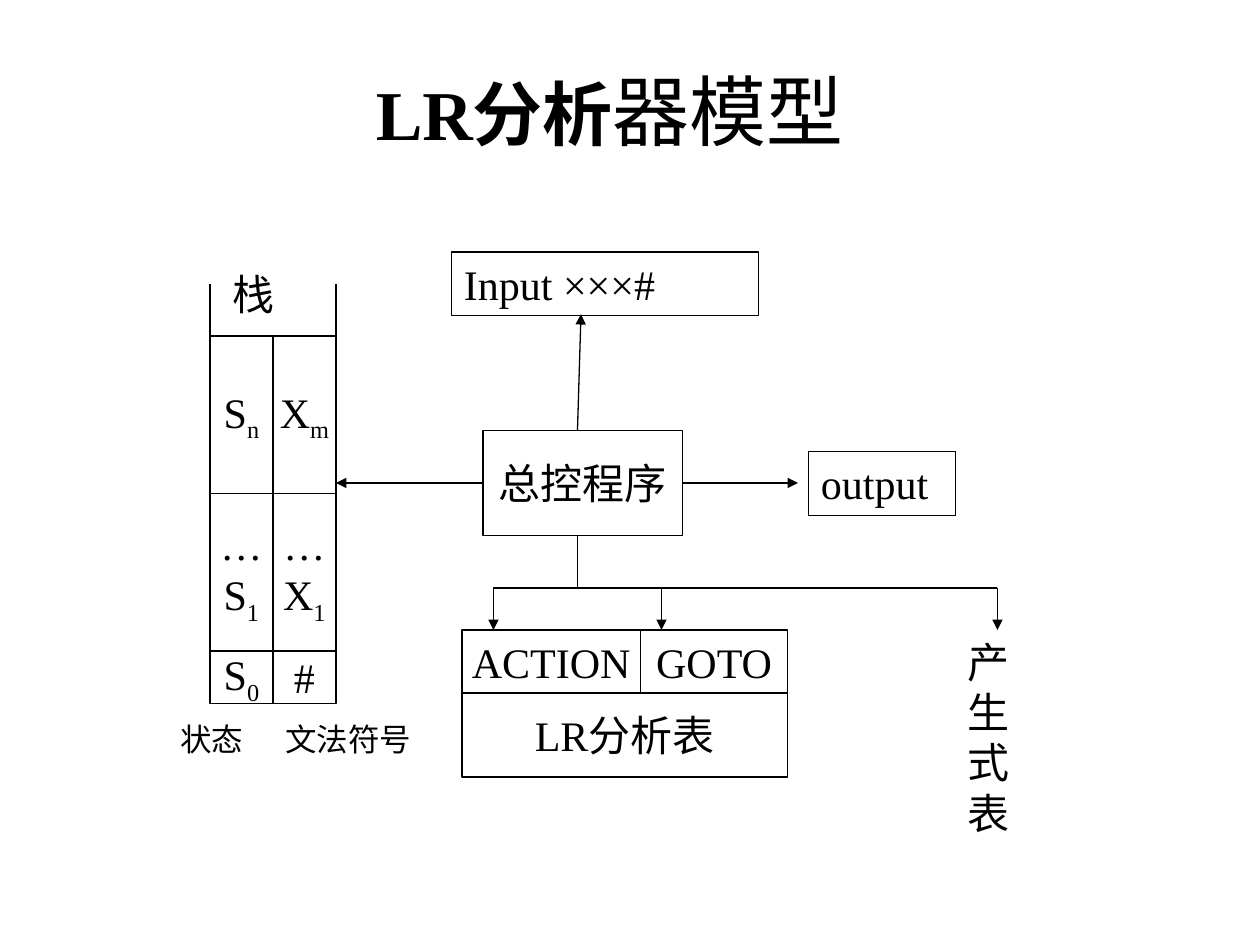
from lxml import etree
from pptx import Presentation
from pptx.dml.color import RGBColor
from pptx.enum import shapes, text
from pptx.oxml import ns
from pptx.util import Pt

COLORS = {"ink": "000000", "paper": "FFFFFF"}
FONT = "Times New Roman"


class Diagram:
    def __init__(self, slide):
        self.slide = slide
        self.ink = RGBColor.from_string(COLORS["ink"])
        self.paper = RGBColor.from_string(COLORS["paper"])
        self.line_width = Pt(0.75)

    def add_run(self, paragraph, words, size=24, bold=False, subscript=False):
        run = paragraph.add_run()
        run.text = words
        run.font.name = FONT
        run.font.size = Pt(size)
        run.font.bold = bold
        run.font.color.rgb = self.ink
        if subscript:
            run._r.get_or_add_rPr().set("baseline", "-25000")

    def title(self, left, top, width, height, runs):
        """Fill the title with (words, size, bold) runs."""
        title = self.slide.shapes.title
        title.left, title.top = Pt(left), Pt(top)
        title.width, title.height = Pt(width), Pt(height)
        frame = title.text_frame
        frame.auto_size = text.MSO_AUTO_SIZE.NONE
        frame.vertical_anchor = text.MSO_ANCHOR.MIDDLE
        paragraph = frame.paragraphs[0]
        paragraph.alignment = text.PP_ALIGN.CENTER
        for words, size, bold in runs:
            self.add_run(paragraph, words, size, bold)

    def box(self, left, top, width, height, *lines):
        """Draw a centred box; each line is a (base, subscript) pair."""
        shape = self.slide.shapes.add_shape(
            shapes.MSO_SHAPE.RECTANGLE, Pt(left), Pt(top), Pt(width), Pt(height))
        shape.shadow.inherit = False
        shape.fill.solid()
        shape.fill.fore_color.rgb = self.paper
        shape.line.color.rgb = self.ink
        shape.line.width = self.line_width
        frame = shape.text_frame
        frame.word_wrap = False
        frame.vertical_anchor = text.MSO_ANCHOR.MIDDLE
        for index, (base, subscript) in enumerate(lines):
            paragraph = frame.add_paragraph() if index else frame.paragraphs[0]
            paragraph.alignment = text.PP_ALIGN.CENTER
            self.add_run(paragraph, base)
            if subscript:
                self.add_run(paragraph, subscript, subscript=True)

    def label(self, left, top, width, height, words, size=24, framed=False):
        shape = self.slide.shapes.add_textbox(Pt(left), Pt(top), Pt(width), Pt(height))
        if framed:
            shape.line.color.rgb = self.ink
            shape.line.width = self.line_width
        frame = shape.text_frame
        frame.word_wrap = True
        frame.auto_size = text.MSO_AUTO_SIZE.SHAPE_TO_FIT_TEXT
        self.add_run(frame.paragraphs[0], words, size)

    def line(self, start_x, start_y, end_x, end_y, arrow=False):
        connector = self.slide.shapes.add_connector(
            shapes.MSO_CONNECTOR.STRAIGHT,
            Pt(start_x), Pt(start_y), Pt(end_x), Pt(end_y))
        connector.line.color.rgb = self.ink
        connector.line.width = self.line_width
        if arrow:
            outline = connector.line._get_or_add_ln()
            etree.SubElement(outline, ns.qn("a:tailEnd"), type="triangle")
        etree.SubElement(connector._element.spPr, ns.qn("a:effectLst"))


def draw_stack(diagram):
    left, top, cell_width = 120, 192, 36
    rows = [
        (90, [("S", "n")], [("X", "m")]),
        (90, [("…", ""), ("S", "1")], [("…", ""), ("X", "1")]),
        (30, [("S", "0")], [("#", "")]),
    ]
    for side in (left, left + 2 * cell_width):
        diagram.line(side, top, side, top - 30)
    for height, *cells in rows:
        for column, lines in enumerate(cells):
            diagram.box(left + column * cell_width, top, cell_width, height, *lines)
        top += height
    diagram.label(126, 150, 54, 36, "栈")
    diagram.label(96, 408, 72, 29, "状态", size=18)
    diagram.label(156, 408, 108, 29, "文法符号", size=18)


def draw_controller(diagram):
    diagram.box(276, 246, 114, 60, ("总控程序", ""))
    diagram.label(258, 144, 175.5, 36.5, "Input ×××#", framed=True)
    diagram.label(462, 258, 84, 36.5, "output", framed=True)
    diagram.line(330, 246, 332, 179.5, arrow=True)
    diagram.line(390, 276, 456, 276, arrow=True)
    diagram.line(276, 276, 192, 276, arrow=True)


def draw_tables(diagram):
    branch_y, table_y = 336, 360
    branches = (282, 378, 570)
    diagram.line(330, 306, 330, branch_y)
    diagram.line(branches[0], branch_y, branches[-1], branch_y)
    diagram.box(264, table_y, 102, 36, ("ACTION", ""))
    diagram.box(366, table_y, 84, 36, ("GOTO", ""))
    diagram.box(264, table_y + 36, 186, 48, ("LR分析表", ""))
    diagram.label(546, table_y, 48, 122.5, "产生式表")
    for x in branches:
        diagram.line(x, branch_y, x, table_y, arrow=True)


def main():
    presentation = Presentation()
    presentation.slide_width, presentation.slide_height = Pt(720), Pt(540)
    title_only = presentation.slide_layouts[5]
    diagram = Diagram(presentation.slides.add_slide(title_only))
    diagram.title(42.5, 31.5, 612, 62, [("LR分析", 40, True), ("器模型", 44, False)])
    draw_stack(diagram)
    draw_controller(diagram)
    draw_tables(diagram)
    presentation.save("out.pptx")


if __name__ == "__main__":
    main()
